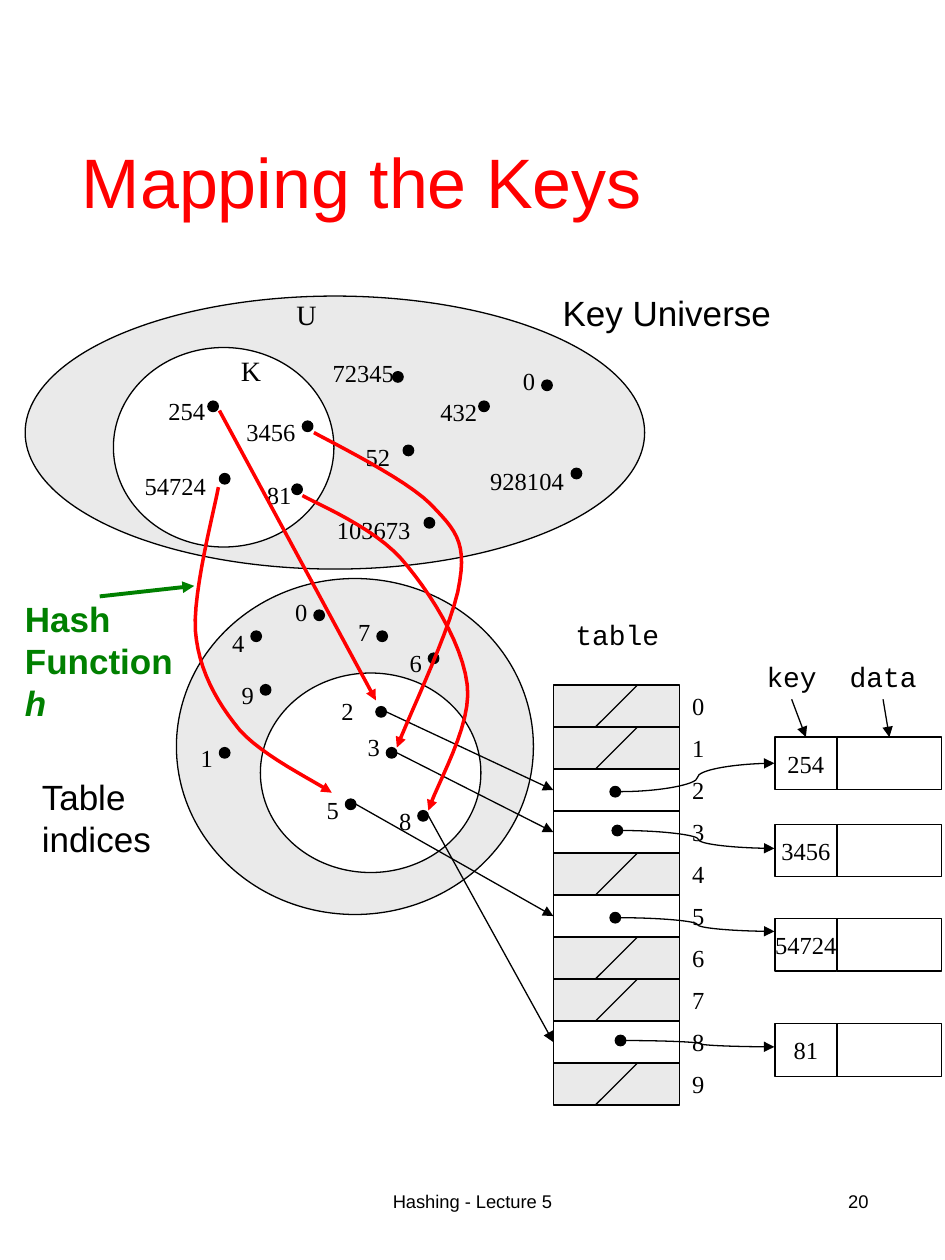
from lxml import etree
from pptx import Presentation
from pptx import util as u
from pptx.dml.color import RGBColor
from pptx.enum import shapes, text
from pptx.oxml import ns

BLACK = RGBColor(0, 0, 0)
WHITE = RGBColor(255, 255, 255)
GREY = RGBColor(0xEA, 0xEA, 0xEA)
RED = RGBColor(255, 0, 0)
GREEN = RGBColor(0, 0x80, 0)
SERIF, SANS, MONO = "Times New Roman", "Arial", "Courier New"
OVAL, RECTANGLE = shapes.MSO_SHAPE.OVAL, shapes.MSO_SHAPE.RECTANGLE
STRAIGHT, CURVE = shapes.MSO_CONNECTOR.STRAIGHT, shapes.MSO_CONNECTOR.CURVE
LEFT, CENTER, RIGHT = text.PP_ALIGN.LEFT, text.PP_ALIGN.CENTER, text.PP_ALIGN.RIGHT
MIDDLE, TOP = text.MSO_ANCHOR.MIDDLE, text.MSO_ANCHOR.TOP

presentation = Presentation()
presentation.slide_width, presentation.slide_height = u.Inches(7.5), u.Inches(10)
slide = presentation.slides.add_slide(presentation.slide_layouts[5])
canvas = slide.shapes
unit = presentation.slide_width / 90


def grid(*values):
    return [int(unit * value) for value in values]


def outline(shape, colour=BLACK, width=0.75, fill=None, arrow=False):
    shape.line.color.rgb = colour
    shape.line.width = u.Pt(width)
    if hasattr(shape, "fill"):
        shape.shadow.inherit = False
        if fill is None:
            shape.fill.background()
        else:
            shape.fill.solid()
            shape.fill.fore_color.rgb = fill
    else:
        etree.SubElement(shape._element.spPr, ns.qn("a:effectLst"))
    if arrow:
        line = shape.line._get_or_add_ln()
        etree.SubElement(line, ns.qn("a:tailEnd"), type="triangle")


passages = []
title = canvas.title
title.left, title.top, title.width, title.height = grid(6.6, 6.1, 77.6, 23.2)
passages.append((title, ["Mapping the Keys"], SANS, 40, RED, LEFT, MIDDLE, True))

for bounds, fill in [
    ((2.4, 28.2, 59, 26), GREY),
    ((16.8, 55.1, 34, 32), GREY),
    ((24.8, 64.1, 21, 19), WHITE),
    ((10.8, 33.1, 21, 19), WHITE),
]:
    outline(canvas.add_shape(OVAL, *grid(*bounds)), fill=fill)

table_left, table_top, row_height = 52.7, 65.25, 4
cells = []
labels = []
for index in range(10):
    top = table_top + index * row_height
    empty = index not in (2, 3, 5, 8)
    cell = canvas.add_shape(RECTANGLE, *grid(table_left, top, 12, row_height))
    outline(cell, fill=GREY if empty else WHITE)
    cells.append(cell)
    labels.append((str(index), 64.7, top - 0.05, SERIF, 14))
    if empty:
        outline(canvas.add_connector(
            STRAIGHT, *grid(table_left + 4, top + row_height, table_left + 8, top)))

records = []
for key, top in [("254", 70.2), ("3456", 78.5), ("54724", 87.5), ("81", 97.5)]:
    key_box = canvas.add_shape(RECTANGLE, *grid(73.8, top, 5.9, 5))
    data_box = canvas.add_shape(RECTANGLE, *grid(79.7, top, 10, 5))
    outline(key_box)
    outline(data_box, fill=WHITE)
    records.append((key_box, data_box))
    passages.append((key_box, [key], SERIF, 14, BLACK, CENTER, MIDDLE, False))

dots = [(58.1, 74.9), (58.3, 78.6), (58.1, 86.9), (58.6, 98.6)]
for name, left, top, dot_left, dot_top in [
    ("2", 31.3, 65.6, 35.8, 67.3), ("5", 29.9, 75.1, 32.9, 76.1),
    ("8", 36.8, 76.1, 39.8, 77.2), ("3", 33.8, 69.1, 36.8, 71.2),
    ("1", 17.9, 70.1, 20.9, 71.2), ("9", 21.8, 64.1, 24.8, 65.2),
    ("4", 20.9, 59.2, 23.9, 60.1), ("0", 26.9, 56.2, 29.9, 58.1),
    ("7", 32.9, 58.1, 35.9, 60.1), ("6", 37.8, 61.1, 40.8, 62.2),
    ("254", 14.8, 37.1, 19.8, 38.2), ("54724", 12.5, 44.2, 20.9, 45.1),
    ("81", 24.2, 45.1, 27.8, 46.1), ("3456", 22.2, 39.1, 28.8, 40.1),
    ("103673", 30.8, 48.4, 40.4, 49.3), ("928104", 45.4, 43.7, 54.4, 44.6),
    ("432", 40.7, 37.2, 45.6, 38.2), ("0", 48.6, 34.2, 51.6, 36.2),
    ("72345", 30.4, 33.4, 37.4, 35.4), ("52", 33.6, 41.4, 38.4, 42.4),
]:
    labels.append((name, left, top, SERIF, 14))
    dots.append((dot_left, dot_top))
for left, top in dots:
    outline(canvas.add_shape(OVAL, *grid(left, top, 1, 1)), fill=BLACK)

labels += [
    ("U", 27.2, 27.7, SERIF, 16), ("K", 21.9, 33.1, SERIF, 16),
    ("table", 53.6, 58.2, MONO, 16), ("key", 71.8, 62.2, MONO, 16),
    ("data", 79.7, 62.2, MONO, 16),
]
for name, left, top, font, size in labels:
    letter_width = 1.2 if size == 14 else 1.6
    height = 4.1 if size == 14 else 4.4
    label = canvas.add_textbox(*grid(left, top, letter_width * len(name) + 2.4, height))
    passages.append((label, [name], font, size, BLACK, CENTER, MIDDLE, False))

for index, x, y in [(2, 36.8, 67.8), (3, 37.8, 71.7), (5, 33.9, 76.6), (8, 40.8, 77.7)]:
    pointer = canvas.add_connector(STRAIGHT, *grid(x, y, table_left, y))
    pointer.end_connect(cells[index], 1)
    outline(pointer, arrow=True)

for (left, top), end in zip(dots, (72.7, 80.8, 88.7, 99.7)):
    link = canvas.add_connector(CURVE, *grid(left + 1, top + 0.5, 73.75, end))
    outline(link, arrow=True)

for x, field in zip((75.4, 84.1), records[0]):
    caption_arrow = canvas.add_connector(STRAIGHT, *grid(x, 66.6, x, 70.2))
    caption_arrow.end_connect(field, 0)
    outline(caption_arrow, arrow=True)

hash_curves = [
    [(28.8, 47.2), (30.4, 48.1), (35.5, 50.2), (38.2, 53.2), (40.8, 56.2),
     (44, 61.1), (44.5, 65.2), (45, 69.1), (41.6, 74.6), (40.8, 77.2)],
    [(29.9, 41.2), (31.7, 42.2), (38.6, 45.6), (41, 48), (43.3, 50.4),
     (44.4, 51.5), (43.8, 55.3), (43.3, 59.2), (39.1, 67.8), (37.8, 71.2)],
    [(20.8, 46.4), (20.4, 48.6), (18.4, 56.2), (18.6, 60), (18.9, 63.8),
     (20.6, 66.8), (22.8, 69.5), (25, 72), (29.8, 74.3), (31.6, 75.5)],
]
steps = 12
for curve in hash_curves:
    points = []
    for start in range(0, 9, 3):
        corners = list(zip(*curve[start:start + 4]))
        for step in range(1, steps + 1):
            t = step / steps
            weights = ((1 - t) ** 3, 3 * t * (1 - t) ** 2, 3 * t * t * (1 - t), t ** 3)
            points.append(grid(*(sum(w * c for w, c in zip(weights, axis)) for axis in corners)))
    builder = canvas.build_freeform(*grid(*curve[0]))
    builder.add_line_segments(points, close=False)
    outline(builder.convert_to_shape(), RED, 2, arrow=True)

for ends, colour, width in [
    ((20.9, 39.1, 35.8, 66.7), RED, 2),
    ((9.5, 56.8, 18.5, 55.8), GREEN, 2.25),
]:
    outline(canvas.add_connector(STRAIGHT, *grid(*ends)), colour, width, arrow=True)

for bounds, lines, size, colour, align, anchor, wrap in [
    ((1.2, 56.3, 17.3, 13.3), ["Hash Function", "h"], 20, GREEN, LEFT, TOP, True),
    ((52.4, 27.2, 22.4, 5.3), ["Key Universe"], 20, BLACK, LEFT, TOP, False),
    ((2.8, 73.3, 13, 9.2), ["Table", "indices"], 20, BLACK, LEFT, TOP, False),
    ((29.8, 111.2, 30.4, 6.4), ["Hashing - Lecture 5"], 10.5, BLACK, CENTER, MIDDLE, True),
    ((63.6, 111.2, 20.3, 6.4), ["20"], 10.5, BLACK, RIGHT, MIDDLE, True),
]:
    box = canvas.add_textbox(*grid(*bounds))
    passages.append((box, lines, SANS, size, colour, align, anchor, wrap))

for shape, lines, font, size, colour, align, anchor, wrap in passages:
    frame = shape.text_frame
    frame.word_wrap = wrap
    frame.auto_size = text.MSO_AUTO_SIZE.NONE
    frame.vertical_anchor = anchor
    for number, words in enumerate(lines):
        paragraph = frame.add_paragraph() if number else frame.paragraphs[0]
        paragraph.alignment = align
        if shape is title:
            paragraph.line_spacing = 0.9
        run = paragraph.add_run()
        run.text = words
        run.font.name = font
        run.font.size = u.Pt(size)
        run.font.color.rgb = colour
        run.font.bold = colour == GREEN
        run.font.italic = words == "h"

presentation.save("out.pptx")
